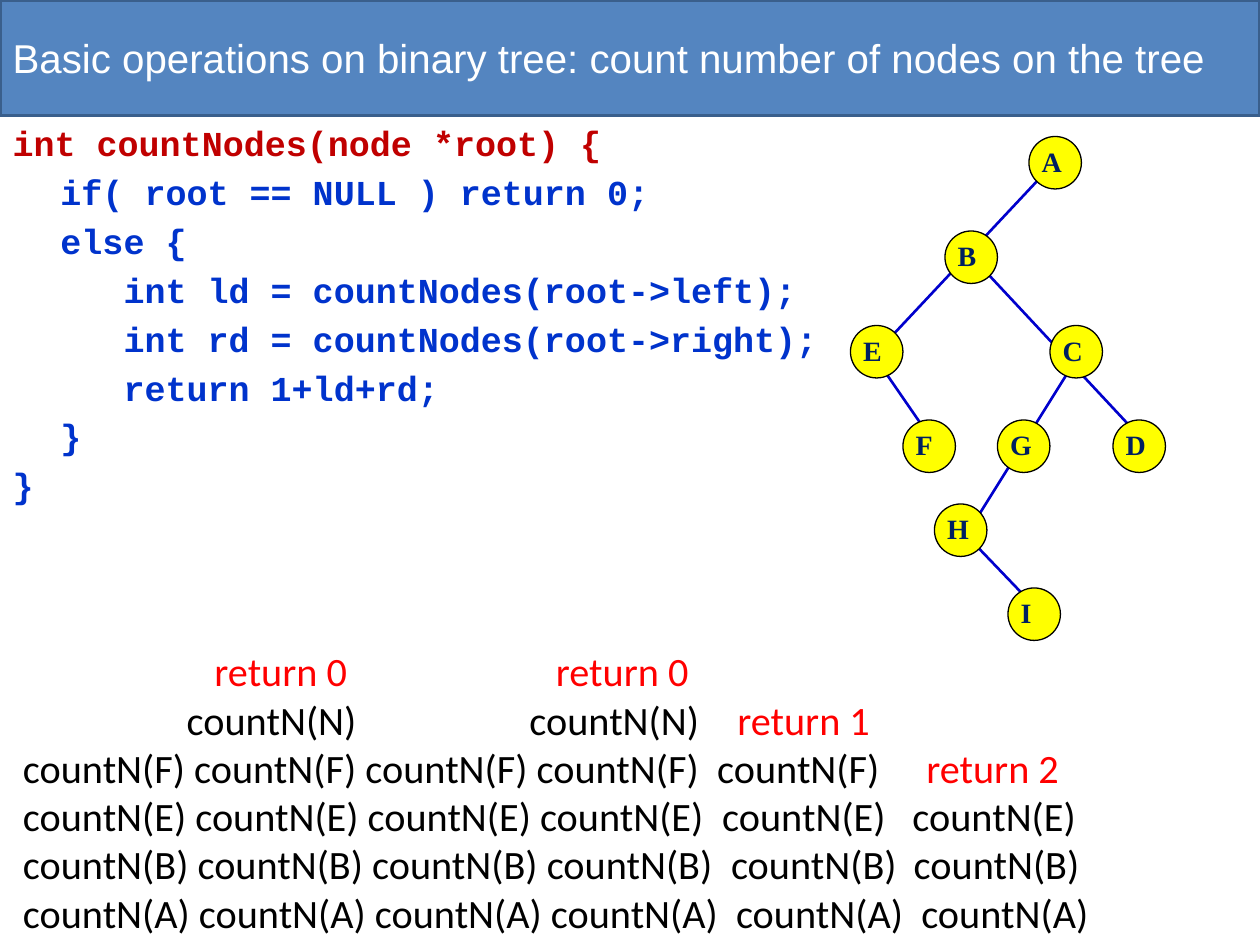
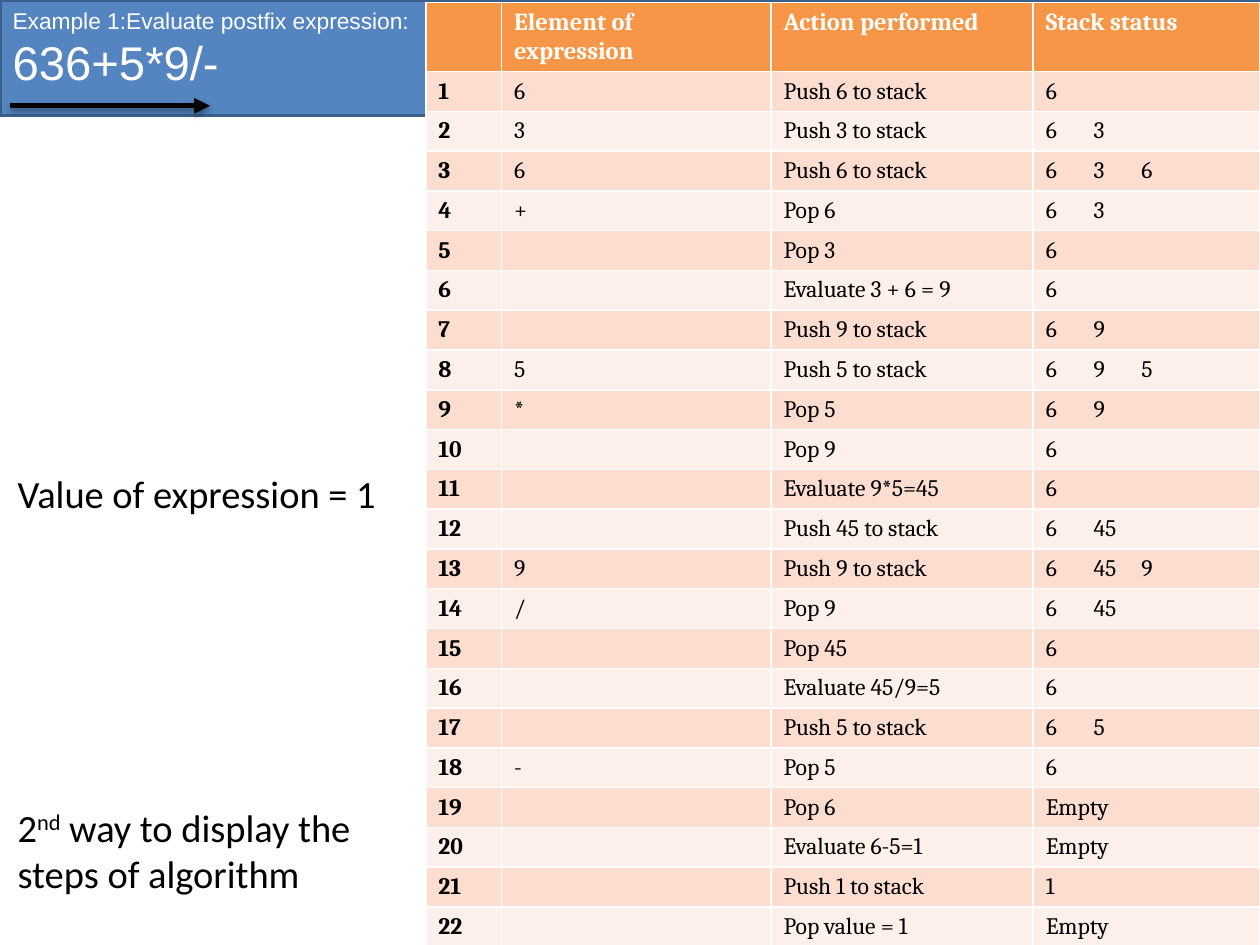
from lxml import etree
from pptx import Presentation, util as u
from pptx.dml.color import RGBColor
from pptx.enum import shapes, text
from pptx.oxml import ns


class Theme:
    band, rim, white, black = "5485C0", "3A5F8C", "FFFFFF", "000000"
    head, code, red = "C00000", "0033CC", "FF0000"
    node, edge, letter = "FFFF00", "0000CC", "002060"
    top, odd, even = "F79646", "FCDDCF", "FDEFE9"
    sans, body, mono = "Arial", "Calibri", "Courier New"
    serif, cell = "Times New Roman", "Cambria"
    title, lead, formula, listing = 23, 13, 27, 20
    calls, note, label, th, td = 23, 22, 16, 14, 13.5


def write(frame, rows, **form):
    """Fill a frame; a row is a string or a list of (text, format) runs."""
    frame.word_wrap = True
    for i, row in enumerate(rows):
        para = frame.paragraphs[0] if i == 0 else frame.add_paragraph()
        para.alignment = text.PP_ALIGN.LEFT
        para.space_before = u.Pt(form.get("gap", 0) if i else 0)
        props = para._p.get_or_add_pPr()
        if "hang" in form:
            hang = u.Inches(form["hang"])
            props.set("marL", str(hang))
            props.set("indent", str(-hang))
        etree.SubElement(props, ns.qn("a:buNone"))
        stops = form.get("stops")
        if stops:
            tabs = etree.SubElement(props, ns.qn("a:tabLst"))
            for stop in stops[i]:
                etree.SubElement(tabs, ns.qn("a:tab"), pos=str(u.Inches(stop)), algn="l")
        for words, extra in [(row, {})] if isinstance(row, str) else row:
            look = form | extra
            if words == "\n":
                para.add_line_break()
            elif words:
                run = para.add_run()
                run.text = words
                run.font.name, run.font.size = look["font"], u.Pt(look["size"])
                run.font.bold = look.get("bold", False)
                run.font.color.rgb = RGBColor.from_string(look["color"])
                if "rise" in look:
                    run._r.get_or_add_rPr().set("baseline", str(look["rise"]))
            else:
                end = etree.SubElement(para._p, ns.qn("a:endParaRPr"), sz=str(int(look["size"] * 100)))
                etree.SubElement(end, ns.qn("a:latin"), typeface=look["font"])


def link(slide, ends, color, width):
    """Draw a straight line in grid units and return it with its effect list."""
    line = slide.shapes.add_connector(shapes.MSO_CONNECTOR.STRAIGHT, *[int(e * U) for e in ends])
    line.line.color.rgb = RGBColor.from_string(color)
    line.line.width = u.Pt(width)
    return line, etree.SubElement(line._element.spPr, ns.qn("a:effectLst"))


# Slide size and a grid of 120 columns by 90 rows
deck = Presentation()
deck.slide_width, deck.slide_height = u.Inches(10), u.Inches(7.5)
W, H = deck.slide_width, deck.slide_height
U = W // 120
tree = deck.slides.add_slide(deck.slide_layouts[1])
stack = deck.slides.add_slide(deck.slide_layouts[5])

# Shared band, kept on the master
band = tree.shapes.add_shape(shapes.MSO_SHAPE.RECTANGLE, 0, 0, W, 11 * U)
band.shadow.inherit = False
band.fill.solid()
band.fill.fore_color.rgb = RGBColor.from_string(Theme.band)
band.line.color.rgb = RGBColor.from_string(Theme.rim)
band.line.width = u.Pt(2)
deck.slide_master.shapes.element.insert(2, band.element)

# Titles
titles = [
    (tree, text.MSO_ANCHOR.MIDDLE,
     "Basic operations on binary tree: count number of nodes on the tree"),
    (stack, text.MSO_ANCHOR.TOP,
     [("Example 1:Evaluate postfix expression:", {"size": Theme.lead}), ("\n", {}),
      ("636+5*9/-", {"size": Theme.formula})]),
]
for slide, anchor, words in titles:
    title = slide.shapes.title
    title.left, title.top, title.width, title.height = 0, 0, W, 11 * U
    title.text_frame.auto_size = text.MSO_AUTO_SIZE.NONE
    title.text_frame.vertical_anchor = anchor
    write(title.text_frame, [words], font=Theme.sans, size=Theme.title, color=Theme.white)

# Code listing
body = tree.placeholders[1]
body.left, body.top, body.width, body.height = 0, 11 * U, W, 71 * U
body.text_frame.auto_size = text.MSO_AUTO_SIZE.NONE
code = [
    [("int countNodes(node *root) {", {"color": Theme.head})],
    "\tif( root == NULL ) return 0;",
    "\telse {",
    "\t   int ld = countNodes(root->left);",
    "\t   int rd = countNodes(root->right);",
    "\t   return 1+ld+rd;",
    "\t}",
    "}",
]
write(body.text_frame, code, font=Theme.mono, size=Theme.listing, color=Theme.code,
      bold=True, gap=3.9, hang=0.38)

# Tree: edges first, then nodes
edges = [(84, 35, 89, 42.25), (93.25, 52.25, 99, 58.25), (94, 26, 108, 41),
         (102, 35, 92, 51), (99, 17, 84, 33)]
for ends in edges:
    link(tree, ends, Theme.edge, 1.5)
nodes = {"A": (98, 13), "B": (90, 22), "D": (106, 40), "C": (100, 31), "I": (96, 56),
         "H": (89, 48), "F": (86, 40), "E": (81, 31), "G": (95, 40)}
for name, (col, row) in nodes.items():
    node = tree.shapes.add_shape(shapes.MSO_SHAPE.OVAL, col * U, row * U, 5 * U, 5 * U)
    node.shadow.inherit = False
    node.fill.solid()
    node.fill.fore_color.rgb = RGBColor.from_string(Theme.node)
    node.line.color.rgb = RGBColor.from_string(Theme.black)
    node.line.width = u.Pt(0.75)
    frame = node.text_frame
    frame.margin_left = u.Inches(0.04)
    frame.margin_top = frame.margin_right = frame.margin_bottom = 0
    frame.vertical_anchor = text.MSO_ANCHOR.TOP
    write(frame, [name], font=Theme.serif, size=Theme.label, color=Theme.letter, bold=True)

# Call stack: one row per depth, columns set by tab stops
red = {"color": Theme.red}
calls = [
    [("\treturn 0\treturn 0", red)],
    [("\tcountN(N)\tcountN(N)", {}), ("\treturn 1", red)],
    [(" ".join(["countN(F)"] * 4) + "\tcountN(F)", {}), ("\treturn 2", red)],
]
for name in "EBA":
    call = f"countN({name})"
    calls.append(" ".join([call] * 4) + f"\t{call}\t{call}")
stops = [(1.52, 4.23), (1.3, 4.02, 5.67), (5.51, 7.17), (5.55, 7.06), (5.62, 7.07), (5.66, 7.13)]
box = tree.shapes.add_textbox(U, 61 * U, 118 * U, 29 * U)
write(box.text_frame, calls, font=Theme.body, size=Theme.calls, color=Theme.black, stops=stops)

# Table of steps: element, action, stack
steps = [
    ("6", "Push 6 to stack", "6"),
    ("3", "Push 3 to stack", "6\t3"),
    ("6", "Push 6 to stack", "6\t3\t6"),
    ("+", "Pop 6", "6\t3"),
    ("", "Pop 3", "6"),
    ("", "Evaluate 3 + 6 = 9", "6"),
    ("", "Push 9 to stack", "6\t9"),
    ("5", "Push 5 to stack", "6\t9\t5"),
    ("*", "Pop 5", "6\t9"),
    ("", "Pop 9", "6"),
    ("", "Evaluate 9*5=45", "6"),
    ("", "Push 45 to stack", "6\t45"),
    ("9", "Push 9 to stack", "6\t45\t9"),
    ("/", "Pop 9", "6\t45"),
    ("", "Pop 45", "6"),
    ("", "Evaluate 45/9=5", "6"),
    ("", "Push 5 to stack", "6\t5"),
    ("-", "Pop 5", "6"),
    ("", "Pop 6", "Empty"),
    ("", "Evaluate 6-5=1", "Empty"),
    ("", "Push 1 to stack", "1"),
    ("", "Pop value = 1", "Empty"),
]
lines = [("", "Element of expression", "Action performed", "Stack status")]
lines += [(str(i), *step) for i, step in enumerate(steps, 1)]
left = u.Inches(3.38)
table = stack.shapes.add_table(len(lines), 4, left, u.Inches(0.02), W - left, u.Inches(6.48)).table
for column, width in zip(table.columns, (0.6, 2.14, 2.08, 1.8)):
    column.width = u.Inches(width)
for r, line in enumerate(lines):
    table.rows[r].height = u.Inches(0.28 if r else 0.32)
    for c, words in enumerate(line):
        cell = table.cell(r, c)
        cell.margin_right = u.Inches(0.1 if r else 0.2)
        cell.fill.solid()
        shade = (Theme.odd if r % 2 else Theme.even) if r else Theme.top
        cell.fill.fore_color.rgb = RGBColor.from_string(shade)
        write(cell.text_frame, [words], font=Theme.cell, size=Theme.td if r else Theme.th,
              color=Theme.black if r else Theme.white, bold=r == 0 or c == 0,
              stops=[(0.38, 0.76)] if "\t" in words else None)

# Reading direction arrow with a soft shadow
arrow, effects = link(stack, (1, 10.08, 20, 10.08), Theme.black, 3)
etree.SubElement(arrow.line._get_or_add_ln(), ns.qn("a:tailEnd"), type="triangle")
shade = etree.SubElement(effects, ns.qn("a:outerShdw"), blurRad=str(u.Pt(3.1)),
                         dist=str(u.Pt(1.8)), dir="5400000", rotWithShape="0")
tint = etree.SubElement(shade, ns.qn("a:srgbClr"), val=Theme.black)
etree.SubElement(tint, ns.qn("a:alpha"), val="35000")

# Notes beside the table
notes = [
    (3.68, 0.47, "Value of expression = 1"),
    (6.33, 0.84, [("2", {}), ("nd", {"rise": 30000}),
                  (" way to display the steps of algorithm", {})]),
]
for top, high, words in notes:
    box = stack.shapes.add_textbox(U // 2, u.Inches(top), 39 * U, u.Inches(high))
    write(box.text_frame, [words], font=Theme.body, size=Theme.note, color=Theme.black)

deck.save("out.pptx")
